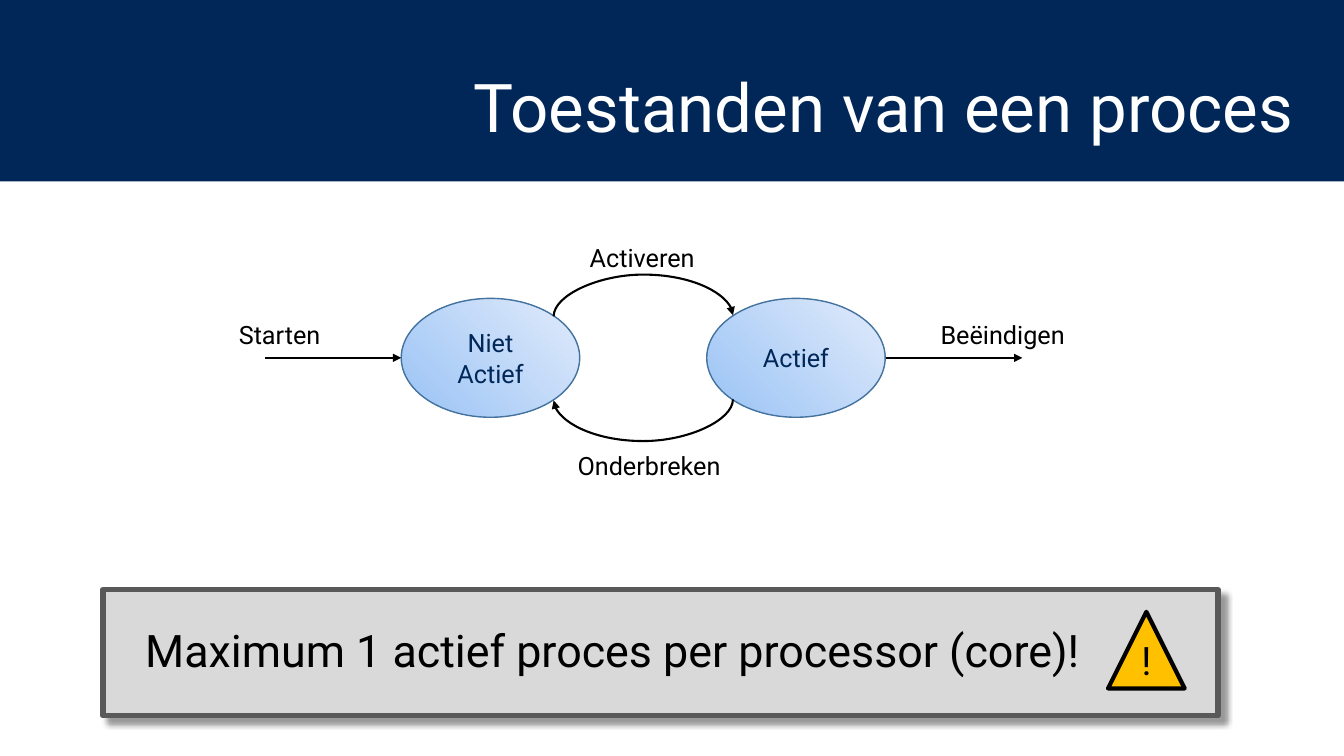
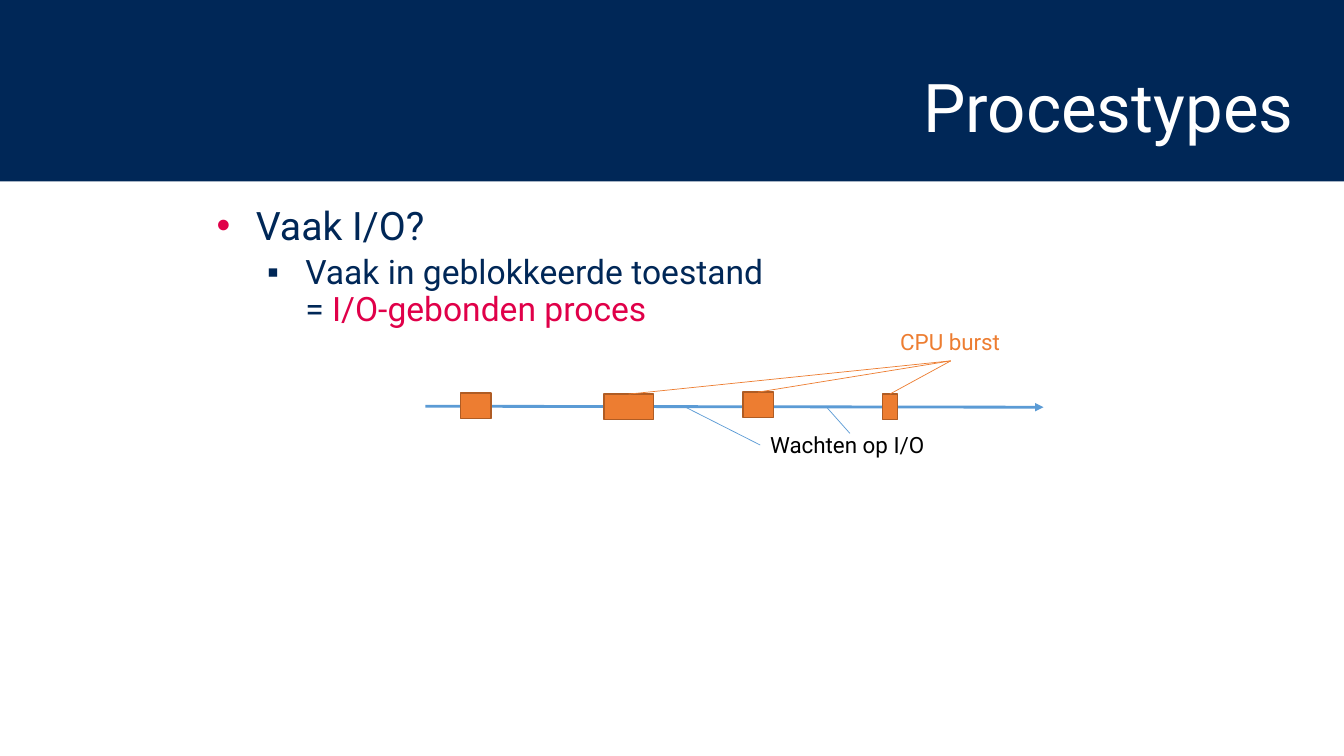
from lxml import etree
from pptx import Presentation
from pptx.dml.color import RGBColor
from pptx.enum.shapes import MSO_CONNECTOR, MSO_SHAPE
from pptx.enum.text import MSO_ANCHOR, PP_ALIGN
from pptx.oxml import parse_xml
from pptx.oxml.ns import nsdecls, qn
from pptx.util import Inches, Pt

FONT = "Roboto"
NAVY = RGBColor(0x00, 0x27, 0x57)
WHITE = RGBColor(0xFF, 0xFF, 0xFF)
BLACK = RGBColor(0x00, 0x00, 0x00)
CRIMSON = RGBColor(0xE0, 0x00, 0x49)
STATE_DARK = RGBColor(0x9A, 0xC3, 0xF5)
STATE_LIGHT = RGBColor(0xE1, 0xEB, 0xFB)
STATE_EDGE = RGBColor(0x43, 0x73, 0x9E)
PANEL = RGBColor(0xD9, 0xD9, 0xD9)
PANEL_EDGE = RGBColor(0x59, 0x59, 0x59)
AMBER = RGBColor(0xFF, 0xC0, 0x00)
BLUE = RGBColor(0x5B, 0x9B, 0xD5)
ORANGE = RGBColor(0xED, 0x7D, 0x31)
ORANGE_EDGE = RGBColor(0xAF, 0x5C, 0x24)

SLIDE_W, SLIDE_H, BAND_H = 13.33, 7.5, 1.8
TITLE_BOX = (2.05, 0.4, 10.88, 1.4)

# State diagram: all lengths in inches
STATES = [("Niet Actief", 3.98), ("Actief", 7.01)]
STATE_TOP, STATE_W, STATE_H = 2.96, 1.77, 1.18
STATE_MIDDLE = STATE_TOP + STATE_H / 2
STRAIGHT_ARROWS = [(2.63, 3.98), (8.79, 10.14)]
TRANSITIONS = [
    ("Activeren", 5.75, 2.35),
    ("Starten", 2.27, 3.12),
    ("Beëindigen", 9.23, 3.12),
    ("Onderbreken", 5.63, 4.42),
]
ARC_BULGE, ARC_DEPTH = 0.42, 0.01
WARNING = "Maximum 1 actief proces per processor (core)!"

# Each bullet: lines of (text, accented) runs, then its style
BULLETS = [
    dict(lines=[[("Vaak I/O?", False)]],
         level=0, size=28, sign="•", sign_color=CRIMSON, margin=0.39, hang=0.39, before=0),
    dict(lines=[[("Vaak in geblokkeerde toestand", False)],
                [("= ", False), ("I/O-gebonden proces", True)]],
         level=1, size=24, sign="▪", sign_color=NAVY, margin=0.88, hang=0.38, before=5),
]
BURST_H = 0.25
# left, top, width, pointed at by the label
BURSTS = [
    (4.57, 3.9, 0.3, False),
    (8.75, 3.91, 0.15, True),
    (7.37, 3.89, 0.3, True),
    (5.99, 3.91, 0.49, True),
]


def inches(*lengths):
    return [Inches(length) for length in lengths]


def style(paragraph, size, color):
    paragraph.font.name = FONT
    paragraph.font.size = Pt(size)
    paragraph.font.color.rgb = color


def add_shape(slide, kind, box, fill=None, edge=None, edge_width=1):
    shape = slide.shapes.add_shape(kind, *inches(*box))
    shape.shadow.inherit = False
    if fill is not None:
        shape.fill.solid()
        shape.fill.fore_color.rgb = fill
    if edge is None:
        shape.line.fill.background()
    else:
        shape.line.color.rgb = edge
        shape.line.width = Pt(edge_width)
    return shape


def write(shape, text, size, color, align=PP_ALIGN.CENTER, anchor=MSO_ANCHOR.MIDDLE):
    frame = shape.text_frame
    frame.word_wrap = True
    frame.vertical_anchor = anchor
    paragraph = frame.paragraphs[0]
    paragraph.text = text
    paragraph.alignment = align
    style(paragraph, size, color)
    return paragraph


def add_label(slide, text, box, size, color=BLACK, wrap=True):
    label = slide.shapes.add_textbox(*inches(*box))
    write(label, text, size, color, PP_ALIGN.LEFT, MSO_ANCHOR.TOP)
    label.text_frame.word_wrap = wrap
    return label


def add_line(slide, start, end, color, width, arrow=False, kind=MSO_CONNECTOR.STRAIGHT):
    line = slide.shapes.add_connector(kind, *inches(*start, *end))
    line.line.color.rgb = color
    line.line.width = Pt(width)
    if arrow:
        etree.SubElement(line.line._get_or_add_ln(), qn("a:tailEnd"), type="triangle")
    etree.SubElement(line._element.spPr, qn("a:effectLst"))
    return line


def add_arc(slide, source, source_site, target, target_site, upward):
    """Join two ellipses by a curved arrow: a flat connector turned a quarter."""
    diagonal = 0.5 ** 0.5
    left_center, right_center = (left + STATE_W / 2 for _, left in STATES)
    center_x = (left_center + right_center) / 2
    half_span = (right_center - left_center - STATE_W * diagonal) / 2
    side = -1 if upward else 1
    center_y = STATE_MIDDLE + side * STATE_H / 2 * diagonal
    dx, dy = side * ARC_DEPTH / 2, side * half_span
    arc = add_line(slide, (center_x - dx, center_y - dy), (center_x + dx, center_y + dy),
                   BLACK, 1.5, True, MSO_CONNECTOR.CURVE)
    properties = arc._element.spPr
    properties.find(qn("a:xfrm")).set("rot", str(90 * 60000))
    geometry = properties.find(qn("a:prstGeom"))
    guides = geometry.find(qn("a:avLst"))
    if guides is None:
        guides = etree.SubElement(geometry, qn("a:avLst"))
    bulge = round(ARC_BULGE / ARC_DEPTH * 100000)
    etree.SubElement(guides, qn("a:gd"), name="adj1", fmla=f"val {bulge}")
    joints = arc._element.find(qn("p:nvCxnSpPr")).find(qn("p:cNvCxnSpPr"))
    for tag, state, site in (("a:stCxn", source, source_site), ("a:endCxn", target, target_site)):
        etree.SubElement(joints, qn(tag), id=str(state.shape_id), idx=str(site))


def add_band(layout, slide):
    """Draw the title band once, on the layout."""
    band = add_shape(slide, MSO_SHAPE.RECTANGLE, (0, 0, SLIDE_W, BAND_H), NAVY)
    layout.shapes._spTree.insert(2, band._element)


def add_titled_slide(prs, title_text):
    slide = prs.slides.add_slide(prs.slide_layouts[5])
    title = slide.shapes.title
    title.left, title.top, title.width, title.height = inches(*TITLE_BOX)
    paragraph = write(title, title_text, 48, WHITE, PP_ALIGN.RIGHT)
    paragraph.line_spacing = 0.9
    return slide


def add_warning(slide):
    panel = add_shape(slide, MSO_SHAPE.RECTANGLE, (1.02, 5.85, 11.06, 1.25), PANEL, PANEL_EDGE, 4)
    properties = panel._element.spPr
    properties.remove(properties.find(qn("a:effectLst")))
    properties.append(parse_xml(
        f'<a:effectLst {nsdecls("a")}>'
        f'<a:outerShdw blurRad="{Pt(4)}" dist="{Pt(6)}" dir="{45 * 60000}" algn="tl" rotWithShape="0">'
        '<a:srgbClr val="000000"><a:alpha val="40000"/></a:srgbClr>'
        '</a:outerShdw></a:effectLst>'))
    panel.text_frame.margin_left = Inches(0.42)
    write(panel, WARNING, 32, BLACK, PP_ALIGN.LEFT).line_spacing = 0.9
    sign = add_shape(slide, MSO_SHAPE.ISOSCELES_TRIANGLE, (10.99, 6.07, 0.76, 0.76), AMBER, BLACK, 3)
    write(sign, "!", 28, BLACK, anchor=MSO_ANCHOR.BOTTOM)


def add_state_diagram(slide):
    states = []
    for name, left in STATES:
        state = add_shape(slide, MSO_SHAPE.OVAL, (left, STATE_TOP, STATE_W, STATE_H), edge=STATE_EDGE)
        state.fill.gradient()
        state.fill.gradient_angle = 45
        for stop, color in zip(state.fill.gradient_stops, (STATE_DARK, STATE_LIGHT)):
            stop.color.rgb = color
        write(state, name, 18, NAVY)
        states.append(state)
    inactive, active = states
    # Ellipse sites run counter-clockwise from the top: 1 upper left ... 7 upper right
    add_arc(slide, inactive, 7, active, 1, upward=True)
    add_arc(slide, active, 3, inactive, 5, upward=False)
    for start, end in STRAIGHT_ARROWS:
        add_line(slide, (start, STATE_MIDDLE), (end, STATE_MIDDLE), BLACK, 1.5, True)
    for text, left, top in TRANSITIONS:
        add_label(slide, text, (left, top, 1.68, 0.4), 18)


def add_bullets(slide):
    frame = slide.shapes.add_textbox(*inches(2.05, 2, 10.88, 4.64)).text_frame
    frame.word_wrap = True
    for number, bullet in enumerate(BULLETS):
        paragraph = frame.add_paragraph() if number else frame.paragraphs[0]
        paragraph.level = bullet["level"]
        properties = paragraph._p.get_or_add_pPr()
        properties.set("marL", str(Inches(bullet["margin"])))
        properties.set("indent", str(-Inches(bullet["hang"])))
        sign_color = etree.SubElement(properties, qn("a:buClr"))
        etree.SubElement(sign_color, qn("a:srgbClr"), val=str(bullet["sign_color"]))
        etree.SubElement(properties, qn("a:buFont"), typeface="Arial")
        etree.SubElement(properties, qn("a:buChar"), char=bullet["sign"])
        paragraph.line_spacing = 0.9
        paragraph.space_before = Pt(bullet["before"])
        style(paragraph, bullet["size"], NAVY)
        for line_number, line in enumerate(bullet["lines"]):
            if line_number:
                paragraph.add_line_break()
            for text, accented in line:
                run = paragraph.add_run()
                run.text = text
                if accented:
                    run.font.color.rgb = CRIMSON


def add_timeline(slide):
    add_line(slide, (4.22, 4.03), (10.35, 4.04), BLUE, 2, True)
    pointed = []
    for left, top, width, is_pointed in BURSTS:
        burst = add_shape(slide, MSO_SHAPE.RECTANGLE, (left, top, width, BURST_H), ORANGE, ORANGE_EDGE)
        if is_pointed:
            pointed.append(burst)
    waiting = add_label(slide, "Wachten op I/O", (7.54, 4.23, 1.77, 0.37), 16, wrap=False)
    add_line(slide, (6.78, 4.03), (7.54, 4.42), BLUE, 0.5).end_connect(waiting, 1)
    add_line(slide, (8.19, 4.03), (8.43, 4.3), BLUE, 0.5)
    burst_label = add_label(slide, "CPU burst", (8.83, 3.21, 1.2, 0.37), 16, ORANGE, wrap=False)
    for burst in pointed:
        pointer = add_line(slide, (0, 0), (1, 1), ORANGE, 0.5)
        pointer.begin_connect(burst, 0)
        pointer.end_connect(burst_label, 2)


def main():
    prs = Presentation()
    prs.slide_width, prs.slide_height = inches(SLIDE_W, SLIDE_H)

    states_slide = add_titled_slide(prs, "Toestanden van een proces")
    add_band(prs.slide_layouts[5], states_slide)
    add_state_diagram(states_slide)
    add_warning(states_slide)

    types_slide = add_titled_slide(prs, "Procestypes")
    add_bullets(types_slide)
    add_timeline(types_slide)

    prs.save("out.pptx")


if __name__ == "__main__":
    main()
